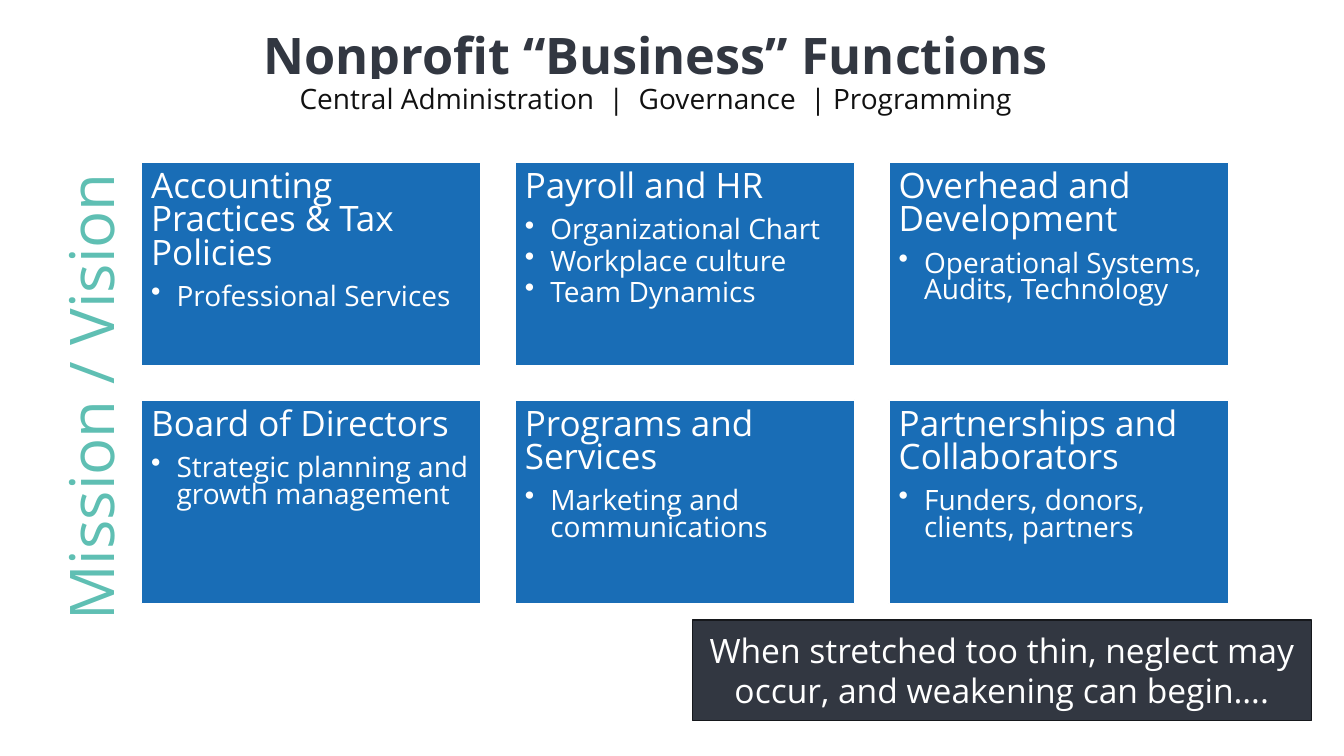
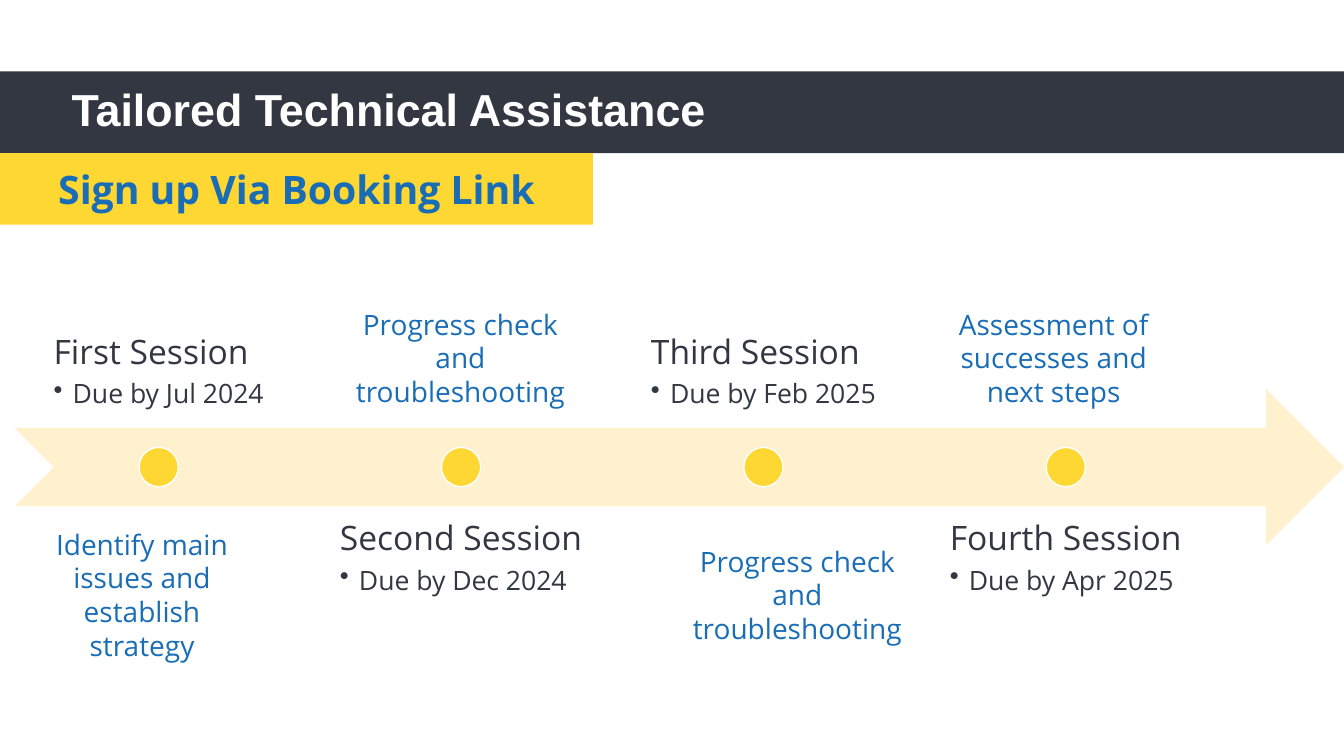
from dataclasses import dataclass

from lxml.etree import SubElement
from pptx import Presentation
from pptx.dml.color import RGBColor as Rgb
from pptx.enum.shapes import MSO_SHAPE as Shape
from pptx.enum.text import MSO_ANCHOR as Anchor, MSO_AUTO_SIZE as AutoSize, PP_ALIGN as Align
from pptx.oxml.ns import qn
from pptx.util import Cm, Pt


@dataclass(frozen=True)
class Theme:
    """Colours, fonts and type sizes shared by both slides."""
    blue: str = "196DB6"
    dark: str = "323741"
    edge: str = "16181C"
    ink: str = "111111"
    teal: str = "5FBFB3"
    yellow: str = "FFD732"
    cream: str = "FFF0CE"
    white: str = "FFFFFF"
    body_font: str = "Open Sans"
    band_font: str = "Arial"
    vision: int = 44
    headline: int = 36
    band: int = 32
    tag: int = 28
    card: int = 25
    session: int = 24
    text: int = 20
    due: int = 19
    list_spacing: float = 0.79
    title_spacing: float = 0.9


THEME = Theme()

FUNCTIONS = [
    ("Accounting Practices & Tax Policies", ["Professional Services"]),
    ("Payroll and HR", ["Organizational Chart", "Workplace culture", "Team Dynamics"]),
    ("Overhead and Development", ["Operational Systems, Audits, Technology"]),
    ("Board of Directors", ["Strategic planning and growth management"]),
    ("Programs and Services", ["Marketing and communications"]),
    ("Partnerships and Collaborators", ["Funders, donors, clients, partners"]),
]
SESSIONS = [
    ("First Session", "Due by Jul 2024"),
    ("Second Session", "Due by Dec 2024"),
    ("Third Session", "Due by Feb 2025"),
    ("Fourth Session", "Due by Apr 2025"),
]
NOTES = [
    ("Identify main issues and establish strategy", (1.14, 13.16, 4.88, 3.68)),
    ("Progress check and troubleshooting", (8.61, 7.62, 5.99, 2.82)),
    ("Progress check and troubleshooting", (17.15, 13.59, 5.89, 2.82)),
    ("Assessment of successes and next steps", (23.75, 7.62, 5.61, 2.82)),
]


def lengths(box):
    """Turn a box in centimetres into lengths."""
    return [Cm(value) for value in box]


def style(font, size, color, bold=False, name=THEME.body_font):
    """Set size, colour, weight and typeface of a font."""
    font.size = Pt(size)
    font.bold = bold
    font.color.rgb = Rgb.from_string(color)
    font.name = name


def add_block(slide, kind, box, fill, line=None):
    """Add a filled preset shape without shadow."""
    block = slide.shapes.add_shape(kind, *lengths(box))
    block.shadow.inherit = False
    block.fill.solid()
    block.fill.fore_color.rgb = Rgb.from_string(fill)
    if line:
        block.line.color.rgb = Rgb.from_string(line)
        block.line.width = Pt(1)
    else:
        block.line.fill.background()
    return block


def add_words(slide, box):
    """Add a wrapping text box and return it."""
    words = slide.shapes.add_textbox(*lengths(box))
    words.text_frame.word_wrap = True
    return words


def write(shape, text, size, color, bold=False):
    """Write one centred paragraph into a shape."""
    paragraph = shape.text_frame.paragraphs[0]
    paragraph.text = text
    paragraph.alignment = Align.CENTER
    style(paragraph.runs[0].font, size, color, bold)


def write_list(frame, heading, items, sizes, color, inset, indent, anchor):
    """Write a heading with bulleted items below it."""
    frame.word_wrap = True
    frame.vertical_anchor = anchor
    frame.margin_left = frame.margin_right = Cm(inset)
    frame.margin_top = frame.margin_bottom = Cm(inset)
    frame.text = "\n".join([heading, *items])
    for index, paragraph in enumerate(frame.paragraphs):
        paragraph.alignment = Align.LEFT
        paragraph.line_spacing = THEME.list_spacing
        paragraph.space_after = Pt(3.3 if index else 9.5)
        if index:
            paragraph.level = 1
            properties = paragraph._p.get_or_add_pPr()
            properties.set("marL", str(Cm(indent)))
            properties.set("indent", str(-Cm(indent)))
            SubElement(properties, qn("a:buChar")).set("char", "•")
        style(paragraph.runs[0].font, sizes[1 if index else 0], color)


def place_title(slide, box, text, alignment):
    """Move the title placeholder, fill it and return its paragraph."""
    title = slide.shapes.title
    title.left, title.top, title.width, title.height = lengths(box)
    frame = title.text_frame
    frame.auto_size = AutoSize.NONE
    frame.vertical_anchor = Anchor.MIDDLE
    paragraph = frame.paragraphs[0]
    paragraph.text = text
    paragraph.alignment = alignment
    paragraph.line_spacing = THEME.title_spacing
    return paragraph


def add_headline(slide, box):
    """Place the two-line title with its highlighted subtitle."""
    paragraph = place_title(
        slide, box,
        "Nonprofit “Business” Functions\v"
        "Central Administration  |  Governance  | Programming", Align.CENTER)
    headline, subtitle = paragraph.runs
    style(headline.font, THEME.headline, THEME.dark, True)
    style(subtitle.font, THEME.text, THEME.ink)
    line_break = paragraph._p.find(qn("a:br"))
    SubElement(line_break, qn("a:rPr")).set("sz", str(THEME.headline * 100))
    properties = subtitle._r.get_or_add_rPr()
    highlight = SubElement(properties, qn("a:highlight"))
    SubElement(highlight, qn("a:srgbClr")).set("val", THEME.white)
    properties.find(qn("a:solidFill")).addnext(highlight)


def add_function_grid(slide, box, columns=3, rows=2, gap=0.86):
    """Lay the function cards out in a grid with equal gaps."""
    left, top, width, height = box
    card_width = (width - gap * (columns - 1)) / columns
    card_height = (height - gap * (rows - 1)) / rows
    for index, (heading, items) in enumerate(FUNCTIONS):
        row, column = divmod(index, columns)
        card = add_block(
            slide, Shape.RECTANGLE,
            (left + column * (card_width + gap), top + row * (card_height + gap),
             card_width, card_height), THEME.blue, THEME.white)
        write_list(card.text_frame, heading, items, (THEME.card, THEME.text),
                   THEME.white, 0.25, 0.64, Anchor.TOP)


def add_vision(slide, box):
    """Add the upright side label."""
    vision = add_words(slide, box)
    vision.text_frame.word_wrap = False
    vision.rotation = 270
    write(vision, "Mission / Vision", THEME.vision, THEME.teal)


def add_warning(slide, box):
    """Add the dark closing statement."""
    warning = add_block(slide, Shape.RECTANGLE, box, THEME.dark, THEME.edge)
    write(warning, "When stretched too thin, neglect may occur, and weakening can begin….",
          THEME.session, THEME.white)


def add_title_band(slide, box):
    """Put the dark band behind the title and the yellow tag under it."""
    left, top, width, height = box
    band = add_block(slide, Shape.RECTANGLE, box, THEME.dark)
    slide.shapes.title._element.addprevious(band._element)
    paragraph = place_title(slide, (left + 1.55, top - 0.02, 31.14, height),
                            "Tailored Technical Assistance", Align.LEFT)
    style(paragraph.runs[0].font, THEME.band, THEME.white, True, THEME.band_font)
    tag = add_block(slide, Shape.RECTANGLE, (left, top + height, 14.94, 1.8), THEME.yellow)
    write(tag, "Sign up Via Booking Link", THEME.tag, THEME.blue, True)


def add_timeline(slide, box, pitch=7.62, session_width=7.26, dot_size=0.99):
    """Draw the arrow with sessions alternating above and below it."""
    left, top, width, height = box
    add_block(slide, Shape.NOTCHED_RIGHT_ARROW, box, THEME.cream)
    for index, (heading, due) in enumerate(SESSIONS):
        below = index % 2
        session_left = left + index * pitch
        session_top = top + height * (0.75 if below else -0.75)
        session = add_words(slide, (session_left, session_top, session_width, height))
        write_list(session.text_frame, heading, [due], (THEME.session, THEME.due),
                   THEME.dark, 0.48, 0.48, Anchor.TOP if below else Anchor.BOTTOM)
        session.text_frame._txBody.bodyPr.set("anchorCtr", "1")
        add_block(slide, Shape.OVAL,
                  (session_left + (session_width - dot_size) / 2,
                   top + (height - dot_size) / 2, dot_size, dot_size),
                  THEME.yellow, THEME.white)


def add_notes(slide):
    """Add the purpose of each session next to the arrow."""
    for purpose, box in NOTES:
        write(add_words(slide, box), purpose, THEME.text, THEME.blue)


def build_functions(slide):
    """Build the slide of business functions."""
    add_headline(slide, (0, 0, 33.05, 3.68))
    add_function_grid(slide, (3.56, 4.09, 27.4, 11.12))
    add_warning(slide, (17.45, 15.62, 15.6, 2.54))
    add_vision(slide, (-3.68, 8.94, 11.89, 2.13))


def build_assistance(slide):
    """Build the slide of assistance sessions."""
    add_title_band(slide, (0, 1.8, 33.87, 2.06))
    add_timeline(slide, (0.37, 9.8, 33.5, 3.94))
    add_notes(slide)


def main():
    """Build and save the presentation."""
    deck = Presentation()
    deck.slide_width, deck.slide_height = Cm(33.87), Cm(19.05)
    title_only = deck.slide_layouts[5]
    for build in (build_functions, build_assistance):
        build(deck.slides.add_slide(title_only))
    deck.save("out.pptx")


if __name__ == "__main__":
    main()
